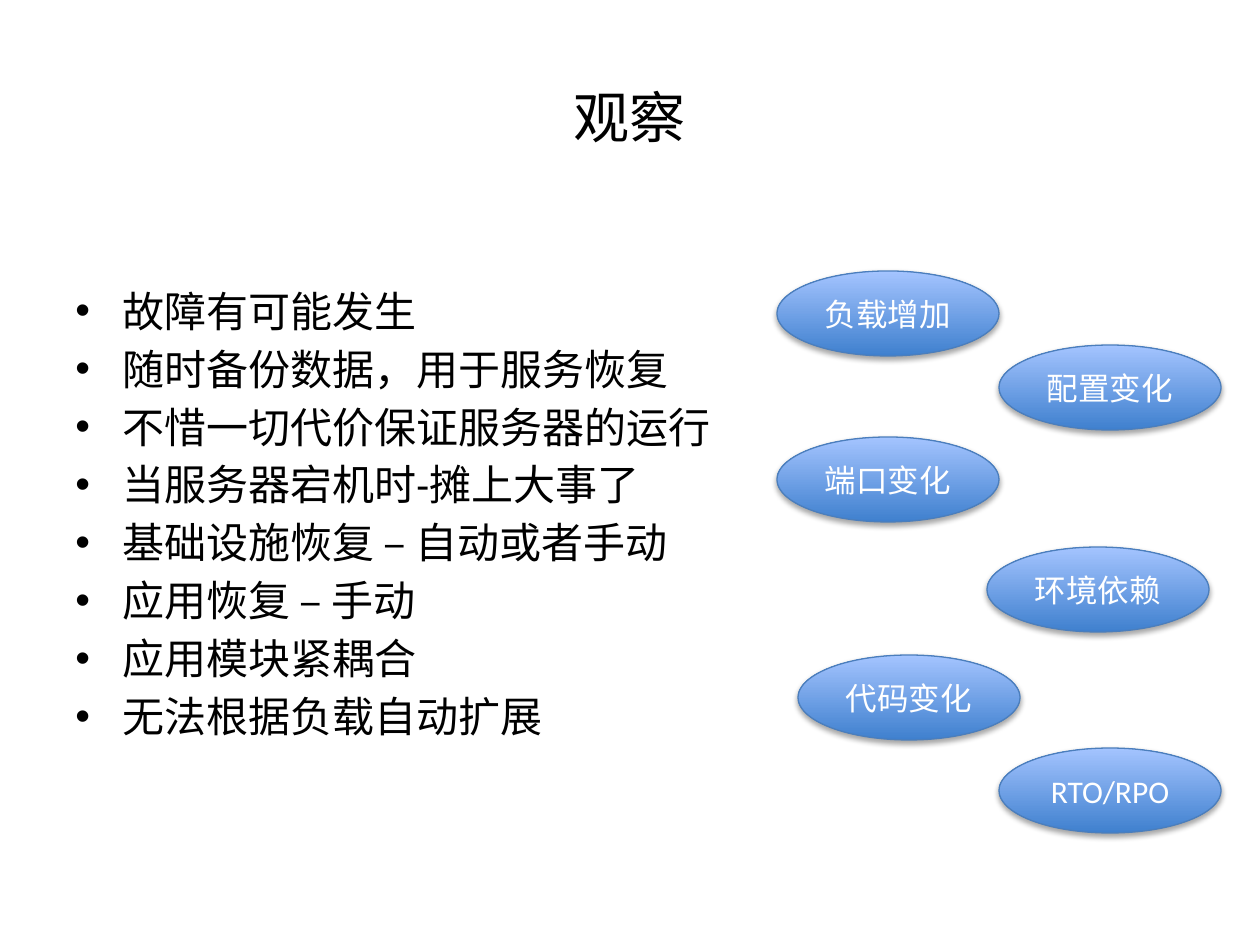
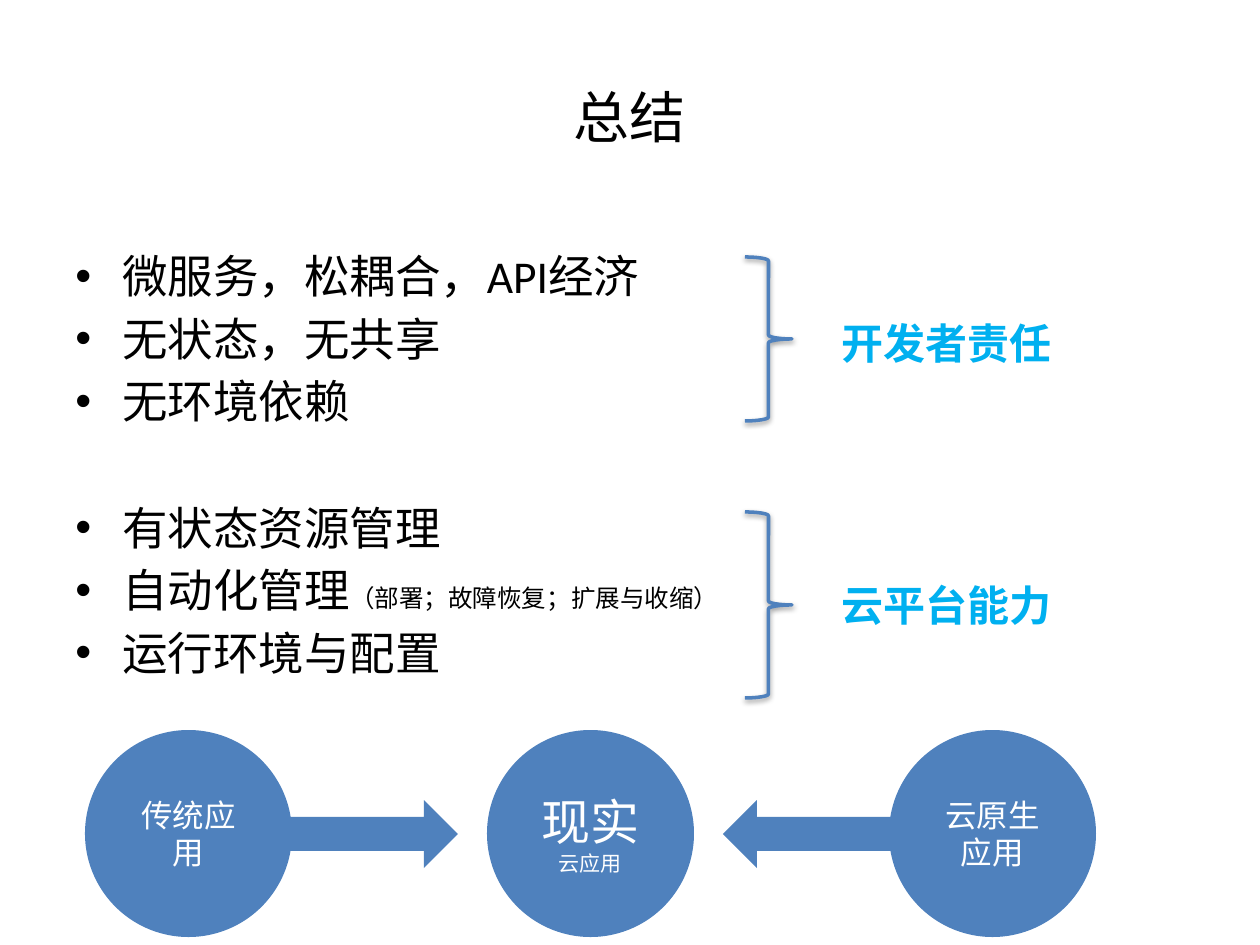
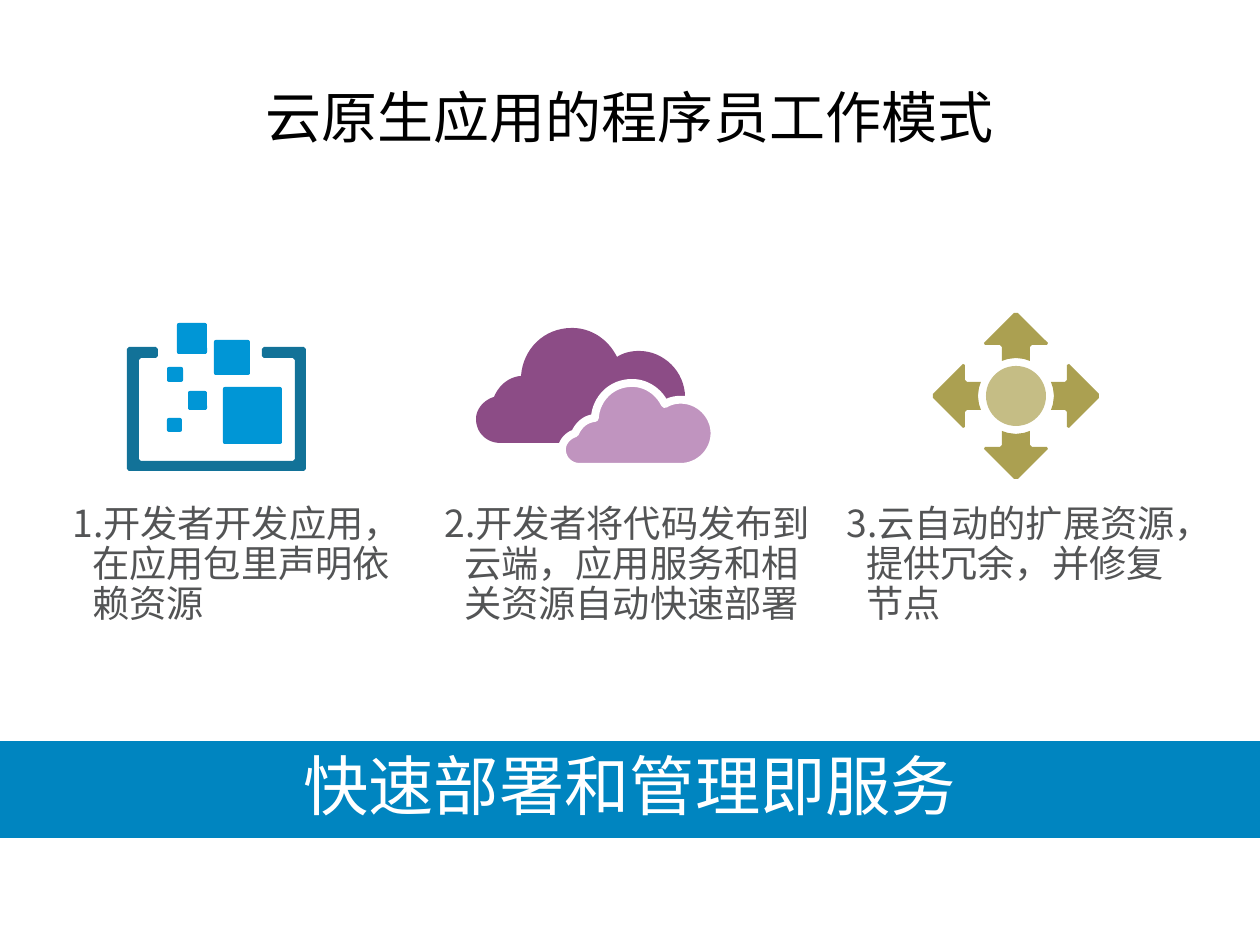
from lxml import etree
from pptx import Presentation
from pptx import util as u
from pptx.dml.color import RGBColor
from pptx.enum import shapes, text
from pptx.oxml.ns import qn

SCALE = u.Inches(1) / 126
PRESET = shapes.MSO_SHAPE
MIDDLE = text.MSO_ANCHOR.MIDDLE
CENTER = text.PP_ALIGN.CENTER

BLACK = RGBColor(0x00, 0x00, 0x00)
WHITE = RGBColor(0xFF, 0xFF, 0xFF)
GRAY = RGBColor(0x53, 0x54, 0x55)
BLUE = RGBColor(0x4F, 0x81, 0xBD)
EDGE_BLUE = RGBColor(0x4B, 0x7E, 0xBC)
GLOSS_DARK = RGBColor(0x3F, 0x80, 0xCE)
GLOSS_LIGHT = RGBColor(0xA4, 0xC4, 0xFF)
LABEL_BLUE = RGBColor(0x00, 0xB0, 0xF0)
BAND_BLUE = RGBColor(0x00, 0x85, 0xC0)
FRAME_BLUE = RGBColor(0x12, 0x72, 0x98)
TILE_BLUE = RGBColor(0x00, 0x96, 0xD6)
PURPLE = RGBColor(0x8C, 0x4C, 0x86)
LILAC = RGBColor(0xC0, 0x94, 0xBF)
OLIVE = RGBColor(0xAB, 0xA0, 0x51)
SAND = RGBColor(0xC5, 0xBD, 0x85)

TITLE_BOX = (63, 38, 1134, 157)

# Observation slide
OBSERVATIONS = [
    "故障有可能发生", "随时备份数据，用于服务恢复", "不惜一切代价保证服务器的运行",
    "当服务器宕机时-摊上大事了", "基础设施恢复 – 自动或者手动", "应用恢复 – 手动",
    "应用模块紧耦合", "无法根据负载自动扩展",
]
CHANGE_SIZE = (222, 85)
CHANGES = [
    ("负载增加", 777, 271), ("配置变化", 999, 345), ("端口变化", 777, 437),
    ("环境依赖", 987, 547), ("代码变化", 798, 655), ("RTO/RPO", 999, 748),
]

# Summary slide: bullet groups, each bullet a main text and a small remark
DUTY_GROUPS = [
    [("微服务，松耦合，API经济", ""), ("无状态，无共享", ""), ("无环境依赖", "")],
    [("有状态资源管理", ""), ("自动化管理", "（部署；故障恢复；扩展与收缩）"), ("运行环境与配置", "")],
]
BRACES = [(745, 257, 47, 164), (745, 512, 47, 186)]
DUTY_LABELS = [("开发者责任", (829, 311, 237, 63)), ("云平台能力", (829, 573, 237, 63))]
CIRCLE_LEFT, CIRCLE_TOP, CIRCLE_SIZE, CIRCLE_STEP = 85, 730, 207, 402
CIRCLES = [[("传统应用", 18)], [("现实", 28), ("云应用", 12)], [("云原生应用", 18)]]
ARROWS = [(PRESET.RIGHT_ARROW, 279), (PRESET.LEFT_ARROW, 723)]

# Working mode slide
STEPS = [
    ("开发者开发应用，在应用包里声明依赖资源", 60, 373),
    ("开发者将代码发布到云端，应用服务和相关资源自动快速部署", 432, 416),
    ("云自动的扩展资源，提供冗余，并修复节点", 834, 369),
]
FRAME = [
    (262, 347), (306, 347), (306, 471), (127, 471), (127, 347), (158, 347),
    (158, 358), (139, 358), (139, 461), (295, 461), (295, 358), (262, 358),
]
TILES = [
    (214, 340, 36, 35), (223, 387, 59, 57), (177, 323, 30, 31),
    (188, 391, 19, 19), (167, 367, 16, 15), (167, 418, 15, 14),
]
CLOUD_START = (24, 115)
CLOUD_CURVES = [
    ((11, 115), (0, 105), (0, 91)), ((0, 81), (8, 72), (18, 69)),
    ((23, 57), (33, 49), (45, 48)), ((47, 21), (68, 0), (96, 0)),
    ((115, 0), (132, 11), (141, 29)), ((147, 25), (155, 23), (163, 23)),
    ((188, 23), (209, 44), (209, 69)), ((209, 94), (188, 115), (163, 115)),
]
HUB = (1016, 396)
UP_ARROW = [
    (0, -38), (8, -37), (14, -35), (14, -49), (16, -51), (31, -51), (32, -53), (2, -83),
    (-2, -83), (-32, -53), (-31, -51), (-16, -51), (-14, -49), (-14, -35), (-8, -37),
]


def px(*lengths):
    return [u.Emu(round(length * SCALE)) for length in lengths]


def add_span(para, words, size, color, font="Calibri", bold=None):
    span = para.add_run()
    span.text = words
    span.font.size = u.Pt(size)
    span.font.name = font
    span.font.color.rgb = color
    span.font.bold = bold


def add_text(page, place, wrap=True):
    frame = page.shapes.add_textbox(*px(*place)).text_frame
    frame.word_wrap = wrap
    return frame


def paint(shape, fill=None, line=None, width=1):
    shape.shadow.inherit = False
    if fill is None:
        shape.fill.background()
    else:
        shape.fill.solid()
        shape.fill.fore_color.rgb = fill
    if line is None:
        shape.line.fill.background()
    else:
        shape.line.color.rgb = line
        shape.line.width = u.Pt(width)
    return shape


def add_preset(page, kind, place, *style):
    return paint(page.shapes.add_shape(kind, *px(*place)), *style)


def add_outline(page, points, *style):
    corners = [px(*point) for point in points]
    builder = page.shapes.build_freeform(*corners[0], scale=1.0)
    builder.add_line_segments(corners[1:], close=True)
    return paint(builder.convert_to_shape(), *style)


def drop_shadow(shape, opacity, distance):
    effects = shape._element.spPr.find(qn("a:effectLst"))
    shadow = etree.SubElement(effects, qn("a:outerShdw"), blurRad="40000", dist=str(distance),
                              dir="5400000", rotWithShape="0")
    color = etree.SubElement(shadow, qn("a:srgbClr"), val="000000")
    etree.SubElement(color, qn("a:alpha"), val=str(opacity * 1000))


def hang(para, indent, tag, **marker):
    """Give the paragraph a hanging indent and a bullet or number."""
    props = para._p.get_or_add_pPr()
    props.set("marL", str(px(indent)[0]))
    props.set("indent", str(-px(indent)[0]))
    if tag == "a:buChar":
        etree.SubElement(props, qn("a:buFont"), typeface="Arial")
    etree.SubElement(props, qn(tag), **marker)


def add_bullet(frame, index, space, size, words, remark=""):
    para = frame.paragraphs[0] if index == 0 else frame.add_paragraph()
    if index:
        para.space_before = u.Pt(space)
    hang(para, 47, "a:buChar", char="•")
    add_span(para, words, size, BLACK)
    if remark:
        add_span(para, remark, 14, BLACK)


def fill_centered(shape, lines, font="Calibri"):
    frame = shape.text_frame
    frame.word_wrap = True
    frame.vertical_anchor = MIDDLE
    for index, (words, size) in enumerate(lines):
        para = frame.paragraphs[0] if index == 0 else frame.add_paragraph()
        para.alignment = CENTER
        add_span(para, words, size, WHITE, font)


def add_page(deck, title):
    page = deck.slides.add_slide(deck.slide_layouts[6])
    frame = add_text(page, TITLE_BOX)
    frame.vertical_anchor = MIDDLE
    frame.paragraphs[0].alignment = CENTER
    add_span(frame.paragraphs[0], title, 32, BLACK)
    return page


def trim_corners(points, cut=2):
    """Cut each corner of a right-angled outline."""
    trimmed = []
    for index, (x, y) in enumerate(points):
        for near_x, near_y in (points[index - 1], points[(index + 1) % len(points)]):
            length = abs(near_x - x) + abs(near_y - y)
            trimmed.append((x + (near_x - x) * cut / length, y + (near_y - y) * cut / length))
    return trimmed


def cloud_points(left, top, size, steps=16):
    points = [CLOUD_START]
    for curve in CLOUD_CURVES:
        a, b, c, d = points[-1], *curve
        for step in range(1, steps + 1):
            t = step / steps
            s = 1 - t
            points.append(tuple(
                s**3 * a[i] + 3 * s * s * t * b[i] + 3 * s * t * t * c[i] + t**3 * d[i]
                for i in (0, 1)))
    return [(left + x * size, top + y * size) for x, y in points]


def build_observation(deck):
    page = add_page(deck, "观察")
    body = add_text(page, (63, 279, 1134, 565))
    for index, words in enumerate(OBSERVATIONS):
        add_bullet(body, index, 4.3, 24, words)
    for words, left, top in CHANGES:
        oval = add_preset(page, PRESET.OVAL, (left, top, *CHANGE_SIZE), None, EDGE_BLUE, 0.75)
        oval.fill.gradient()
        oval.fill.gradient_angle = 90
        for stop, color in zip(oval.fill.gradient_stops, (GLOSS_DARK, GLOSS_LIGHT)):
            stop.color.rgb = color
        drop_shadow(oval, 35, 23000)
        fill_centered(oval, [(words, 18)])


def build_summary(deck):
    page = add_page(deck, "总结")
    body = add_text(page, (63, 242, 1134, 547))
    index = 0
    for group in DUTY_GROUPS:
        for place, (words, remark) in enumerate(group):
            add_bullet(body, index, 4.6 if place else 41, 26, words, remark)
            index += 1
    for place in BRACES:
        drop_shadow(add_preset(page, PRESET.RIGHT_BRACE, place, None, BLUE, 2), 38, 20000)
    for words, place in DUTY_LABELS:
        label = add_text(page, place, wrap=False)
        add_span(label.paragraphs[0], words, 24, LABEL_BLUE, bold=True)
    for column, lines in enumerate(CIRCLES):
        left = CIRCLE_LEFT + column * CIRCLE_STEP
        circle = add_preset(page, PRESET.OVAL, (left, CIRCLE_TOP, CIRCLE_SIZE, CIRCLE_SIZE), BLUE)
        fill_centered(circle, lines)
    for kind, left in ARROWS:
        add_preset(page, kind, (left, 800, 179, 68), BLUE)


def build_working_mode(deck):
    page = add_page(deck, "云原生应用的程序员工作模式")
    add_outline(page, trim_corners(FRAME), FRAME_BLUE)
    for place in TILES:
        tile = add_preset(page, PRESET.ROUNDED_RECTANGLE, place, TILE_BLUE)
        tile.adjustments[0] = 2 / min(place[2:])

    add_outline(page, cloud_points(476, 328, 1), PURPLE)
    add_outline(page, cloud_points(562, 383, 0.73), LILAC, WHITE, 4.5)

    arrow = UP_ARROW
    for _ in range(4):
        add_outline(page, [(HUB[0] + x, HUB[1] + y) for x, y in arrow], OLIVE)
        arrow = [(-y, x) for x, y in arrow]
    add_preset(page, PRESET.OVAL, (HUB[0] - 30, HUB[1] - 30, 60, 60), SAND)

    for number, (words, left, width) in enumerate(STEPS, 1):
        para = add_text(page, (left, 499, width, 135)).paragraphs[0]
        para.line_spacing = 0.9
        hang(para, 20, "a:buAutoNum", type="arabicPeriod", startAt=str(number))
        add_span(para, words, 21.3, GRAY, "Lato")

    band = add_preset(page, PRESET.RECTANGLE, (0, 741, 1260, 97), BAND_BLUE)
    fill_centered(band, [("快速部署和管理即服务", 37.3)], "Lato")
    band.text_frame.paragraphs[0].line_spacing = 0.9


def main():
    deck = Presentation()
    deck.slide_width, deck.slide_height = px(1260, 945)
    build_observation(deck)
    build_summary(deck)
    build_working_mode(deck)
    deck.save("out.pptx")


if __name__ == "__main__":
    main()
